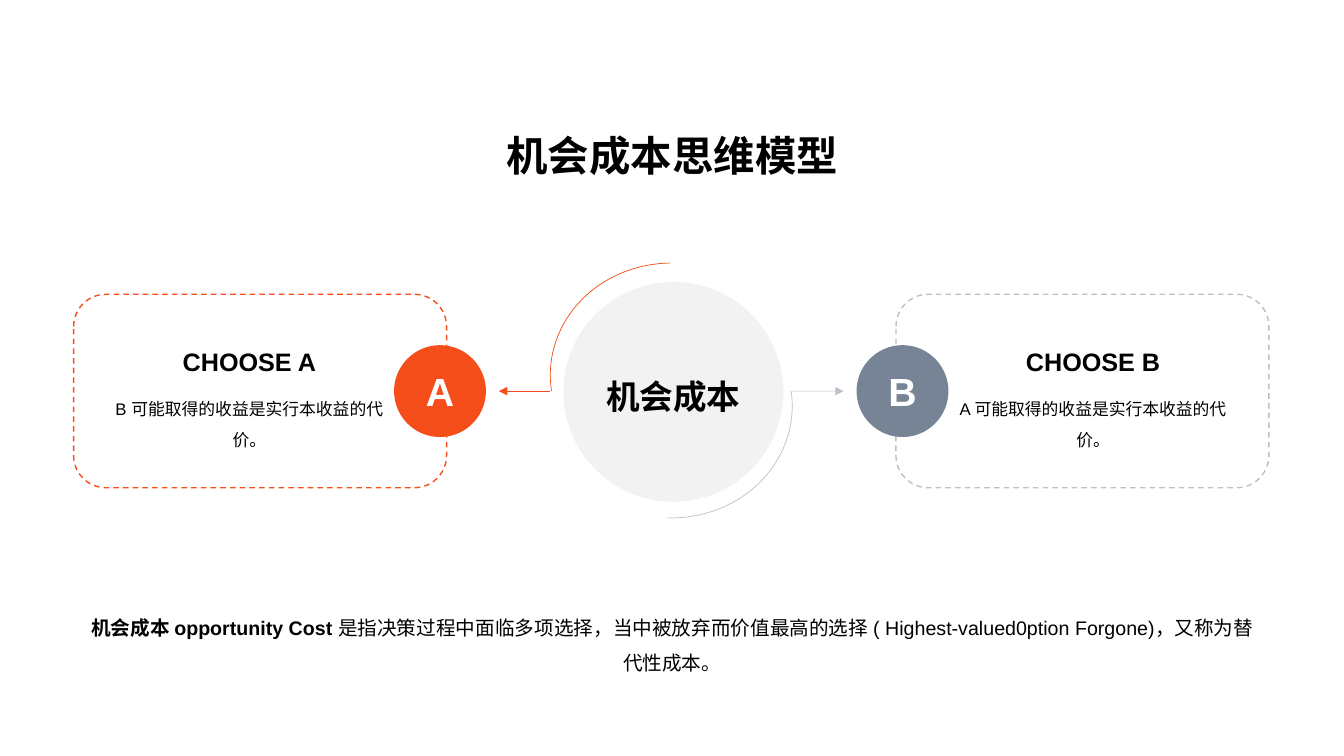
"""Build the opportunity cost slide with its two choices."""
import pptx
import pptx.util
import pptx.dml.color
import pptx.enum.dml
import pptx.enum.shapes
import pptx.enum.text
import pptx.oxml
import pptx.oxml.ns

Pt = pptx.util.Pt
SHAPE = pptx.enum.shapes.MSO_SHAPE
ANCHOR = pptx.enum.text.MSO_ANCHOR
NS = 'xmlns:a="http://schemas.openxmlformats.org/drawingml/2006/main"'


def paint(fill, color):
    """Give a fill a solid hex colour."""
    fill.solid()
    fill.fore_color.rgb = pptx.dml.color.RGBColor.from_string(color)


def write(shape, parts, size, color="000000", anchor=ANCHOR.TOP, space=1.0):
    """Set one centred paragraph from (text, bold) parts."""
    frame = shape.text_frame
    frame.auto_size = pptx.enum.text.MSO_AUTO_SIZE.NONE
    frame.word_wrap = True
    frame.vertical_anchor = anchor
    para = frame.paragraphs[0]
    para.alignment = pptx.enum.text.PP_ALIGN.CENTER
    para.line_spacing = space
    for text, bold in parts:
        run = para.add_run()
        run.text = text
        run.font.name = "Arial"
        run.font.size = Pt(size)
        run.font.bold = bold
        paint(run.font.fill, color)


deck = pptx.Presentation()
deck.slide_width, deck.slide_height = Pt(960), Pt(540)
slide = deck.slides.add_slide(deck.slide_layouts[5])
shapes = slide.shapes
mid, axis = 479.5, 279.4
faded = []

title = shapes.title
title.left, title.top, title.width, title.height = Pt(52.5), Pt(91.4), Pt(855.4), Pt(41)
write(title, [("机会成本思维模型", True)], 29.6, anchor=ANCHOR.BOTTOM)

choices = [
    ("A", "B", -1, "F54E1A", 100, 187.9, (103.44, 161.64)),
    ("B", "A", 1, "778495", 50, 210.2, (211.69, 55.46)),
]
for name, other, side, color, alpha, top, angles in choices:
    card = shapes.add_shape(SHAPE.ROUNDED_RECTANGLE, Pt(mid + side * 293.7 - 133.2),
                            Pt(210.2), Pt(266.4), Pt(138.2))
    card.fill.background()
    card.line.width = Pt(1)
    card.line.dash_style = pptx.enum.dml.MSO_LINE.DASH

    badge = shapes.add_shape(SHAPE.OVAL, Pt(mid + side * 165.2 - 32.8),
                             Pt(axis - 32.8), Pt(65.6), Pt(65.6))
    paint(badge.fill, color)
    badge.line.fill.background()
    write(badge, [(name, True)], 28, "FFFFFF", ANCHOR.MIDDLE)
    badge.text_frame.word_wrap = False

    left = Pt(mid + side * 301.3 - 104.8)
    head = shapes.add_textbox(left, Pt(229.7), Pt(209.6), Pt(42.5))
    write(head, [(f"CHOOSE {name}", True)], 18, anchor=ANCHOR.BOTTOM)
    note = shapes.add_textbox(left, Pt(274.3), Pt(209.6), Pt(72.7))
    write(note, [(f"{other} 可能取得的收益是实行本收益的代价。", False)], 12, space=1.5)

    arc = shapes.add_shape(SHAPE.ARC, Pt(mid - 86.4), Pt(top), Pt(172.8), Pt(159.8))
    arc.adjustments[0], arc.adjustments[1] = angles
    arc.fill.background()
    arc.line.width = Pt(0.5)

    arrow = shapes.add_connector(pptx.enum.shapes.MSO_CONNECTOR.STRAIGHT,
                                 Pt(mid + side * 86.4), Pt(axis),
                                 Pt(mid + side * 123.1), Pt(axis))
    arrow.line.width = Pt(0.5)
    for item in (card, arc, arrow):
        paint(item.line.fill, color)
        faded.append((item, alpha))
    tip = pptx.oxml.parse_xml(f'<a:tailEnd {NS} type="triangle"/>')
    arrow.line._get_or_add_ln().append(tip)
    arrow._element.spPr.append(pptx.oxml.parse_xml(f"<a:effectLst {NS}/>"))
    for item in (card, badge, arc):
        item.shadow.inherit = False

disc = shapes.add_shape(SHAPE.OVAL, Pt(402.5), Pt(201.4), Pt(157), Pt(157))
disc.shadow.inherit = False
paint(disc.fill, "808080")
disc.line.fill.background()
write(disc, [("机会成本", True)], 24, anchor=ANCHOR.MIDDLE, space=1.2)
faded.append((disc, 10))

for item, alpha in faded:
    if alpha < 100:
        tint = next(item._element.spPr.iter(pptx.oxml.ns.qn("a:srgbClr")))
        tint.append(pptx.oxml.parse_xml(f'<a:alpha {NS} val="{alpha * 1000}"/>'))

foot = shapes.add_textbox(Pt(52.5), Pt(427.7), Pt(855.4), Pt(54.7))
write(foot, [
    ("机会成本 opportunity Cost ", True),
    ("是指决策过程中面临多项选择，当中被放弃而价值最高的选择 "
     "( Highest-valued0ption Forgone)，又称为替代性成本。", False),
], 14, space=1.5)

deck.save("out.pptx")
